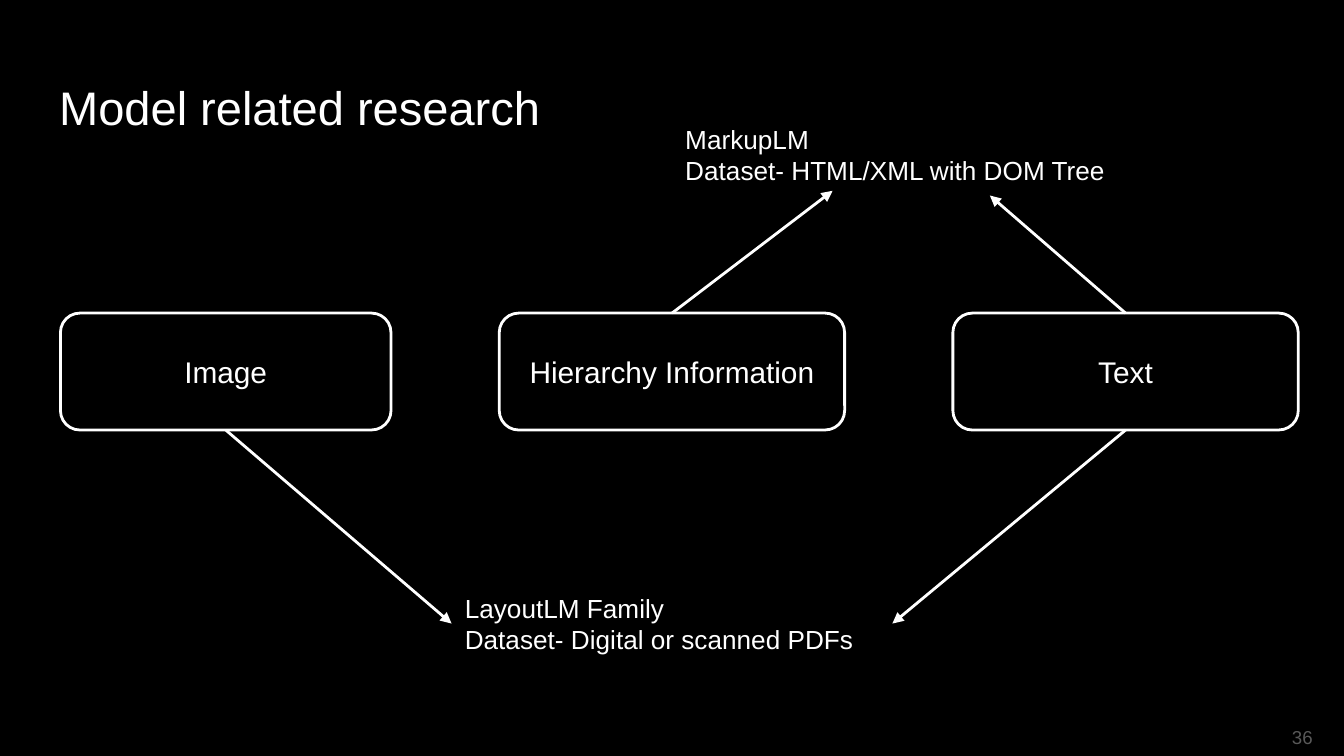
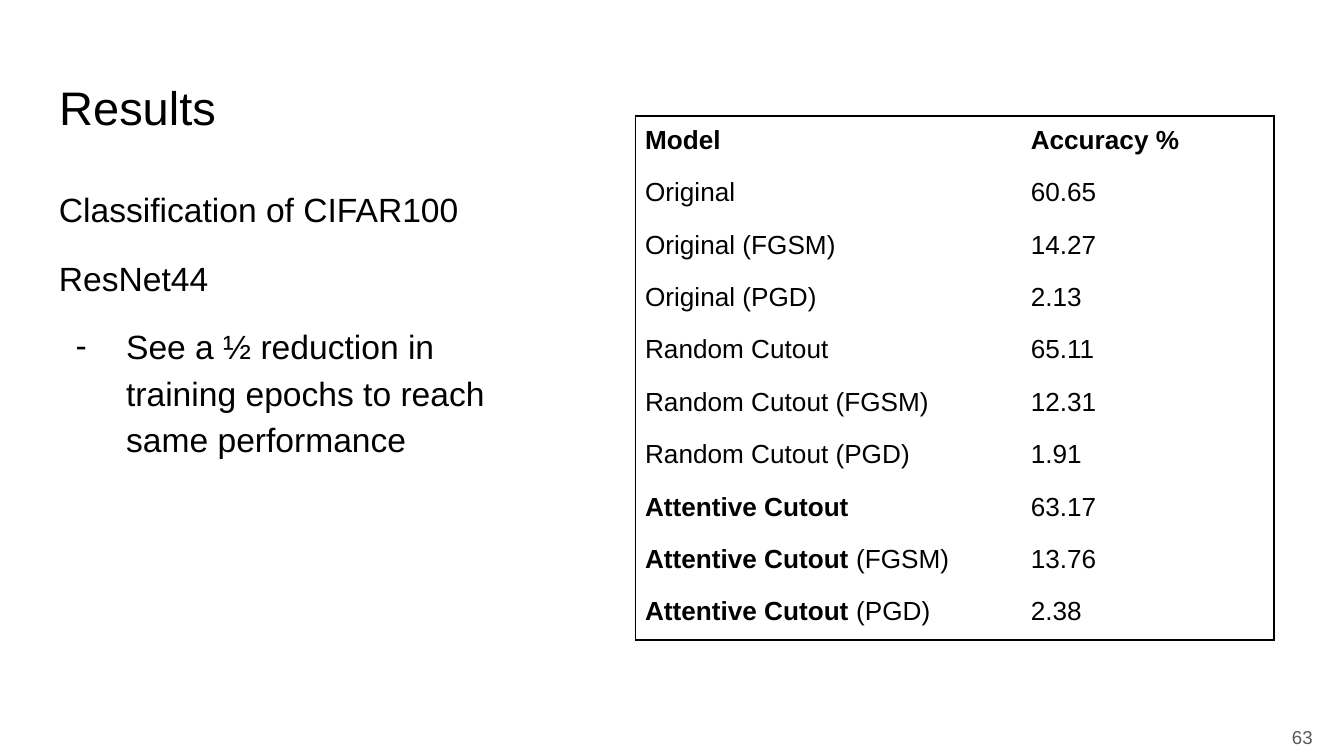
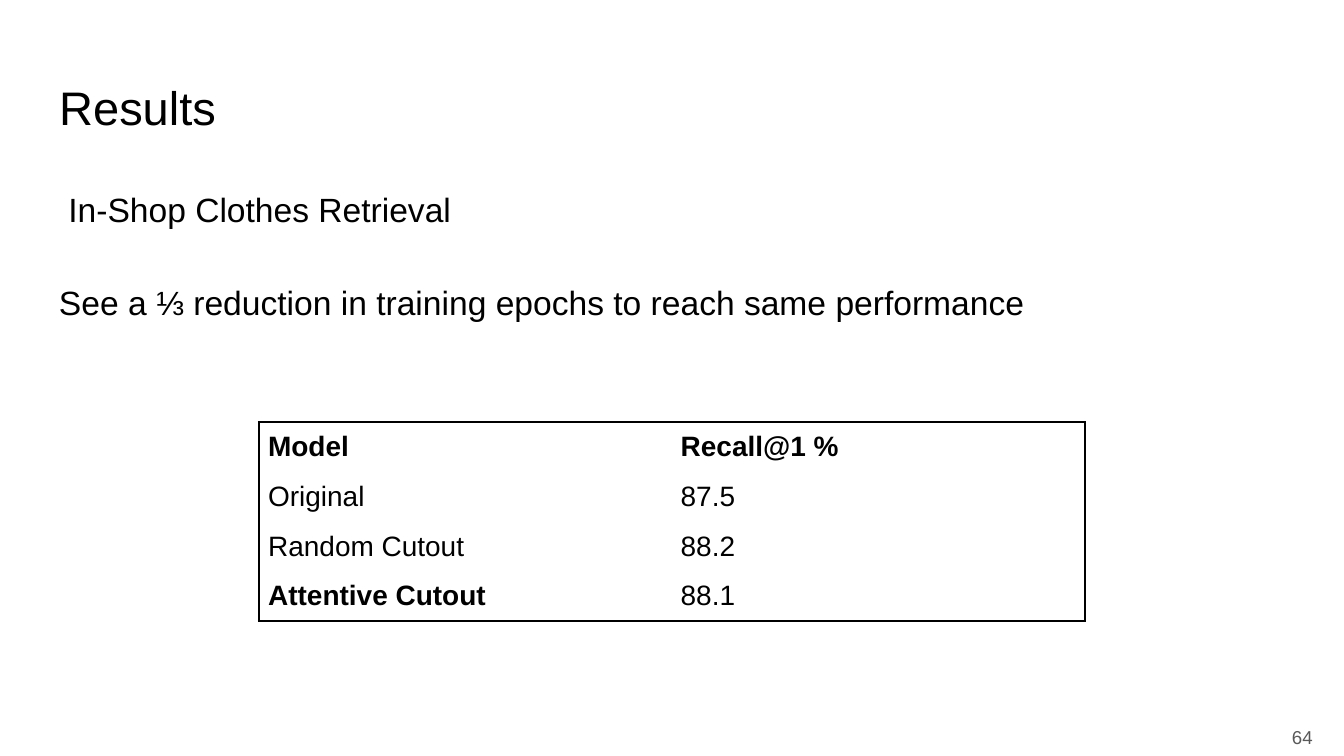
from dataclasses import dataclass
from typing import Any

import lxml.etree
import pptx
import pptx.dml.color
import pptx.enum.shapes
import pptx.enum.text
import pptx.oxml.ns
import pptx.util

SCALE = 4572
ALIGN = pptx.enum.text.PP_ALIGN
ANCHOR = pptx.enum.text.MSO_ANCHOR
SHAPE = pptx.enum.shapes.MSO_SHAPE
TOP, LEFT, BOTTOM, RIGHT = range(4)


@dataclass(frozen=True)
class Theme:
    font: str = "Arial"
    black: str = "000000"
    white: str = "FFFFFF"
    grey: str = "595959"
    title: float = 25.2
    body: float = 18
    box: float = 16
    note: float = 14
    page: float = 10
    line: float = 1.5
    edge: float = 1


THEME = Theme()


@dataclass(frozen=True)
class Rect:
    left: int
    top: int
    width: int
    height: int


@dataclass(frozen=True)
class Run:
    text: str
    bold: bool = False


@dataclass(frozen=True)
class Para:
    runs: tuple[Run, ...]
    before: float = 0
    margin: int = 0
    indent: int = 0
    bullet: str = ""


@dataclass(frozen=True)
class Row:
    name: str
    value: str
    tag: str = ""
    bold: bool = False
    head: bool = False


def px(size: int) -> pptx.util.Emu:
    return pptx.util.Emu(size * SCALE)


def span(rect: Rect) -> tuple[pptx.util.Emu, ...]:
    return px(rect.left), px(rect.top), px(rect.width), px(rect.height)


def tint(code: str) -> pptx.dml.color.RGBColor:
    return pptx.dml.color.RGBColor.from_string(code)


def add(node: Any, tag: str, **attrs: str) -> Any:
    return lxml.etree.SubElement(node, pptx.oxml.ns.qn(tag), attrs)


def plain(text: str, **form: Any) -> Para:
    return Para((Run(text),), **form)


def write(frame: Any, paras: list[Para], *, size: float, color: str,
          align: Any = ALIGN.LEFT, anchor: Any = ANCHOR.TOP,
          space: float = 1, right: int = 20) -> None:
    frame.word_wrap = True
    frame.vertical_anchor = anchor
    frame.margin_left = frame.margin_top = frame.margin_bottom = px(20)
    frame.margin_right = px(right)
    for count, item in enumerate(paras):
        para = frame.add_paragraph() if count else frame.paragraphs[0]
        props = para._p.get_or_add_pPr()
        props.set("marL", str(px(item.margin)))
        props.set("indent", str(px(item.indent)))
        if item.bullet:
            add(add(props, "a:buClr"), "a:srgbClr", val=color)
            add(props, "a:buSzPts", val=str(round(size * 100)))
            add(props, "a:buFont", typeface=THEME.font)
            add(props, "a:buChar", char=item.bullet)
        para.alignment = align
        para.line_spacing = space
        para.space_before = pptx.util.Pt(item.before)
        for part in item.runs:
            run = para.add_run()
            run.text = part.text
            run.font.name = THEME.font
            run.font.size = pptx.util.Pt(size)
            run.font.bold = part.bold
            run.font.color.rgb = tint(color)


def label(slide: Any, rect: Rect, paras: list[Para], **form: Any) -> Any:
    shape = slide.shapes.add_textbox(*span(rect))
    write(shape.text_frame, paras, **form)
    return shape


def start(deck: Any, title: str, page: str, ground: str, ink: str) -> Any:
    slide = deck.slides.add_slide(deck.slide_layouts[5])
    slide.background.fill.solid()
    slide.background.fill.fore_color.rgb = tint(ground)
    head = slide.shapes.title
    head.left, head.top, head.width, head.height = span(
        Rect(68, 97, 1864, 126))
    head.text_frame.auto_size = pptx.enum.text.MSO_AUTO_SIZE.NONE
    write(head.text_frame, [plain(title)], size=THEME.title, color=ink)
    label(slide, Rect(1853, 1054, 120, 86), [plain(page)], size=THEME.page,
          color=THEME.grey, align=ALIGN.RIGHT, anchor=ANCHOR.MIDDLE)
    return slide


def box(slide: Any, text: str, left: int, width: int) -> Any:
    shape = slide.shapes.add_shape(
        SHAPE.ROUNDED_RECTANGLE, *span(Rect(left, 466, width, 174)))
    shape.shadow.inherit = False
    shape.fill.background()
    shape.line.color.rgb = tint(THEME.white)
    shape.line.width = pptx.util.Pt(THEME.line)
    write(shape.text_frame, [plain(text)], size=THEME.box, color=THEME.white,
          align=ALIGN.CENTER, anchor=ANCHOR.MIDDLE)
    return shape


def note(slide: Any, rect: Rect, *lines: str) -> Any:
    shape = label(slide, rect, [plain(line) for line in lines],
                  size=THEME.note, color=THEME.white)
    shape.text_frame.auto_size = pptx.enum.text.MSO_AUTO_SIZE.SHAPE_TO_FIT_TEXT
    return shape


def arrow(slide: Any, source: Any, side: int, x: int = 0, y: int = 0,
          goal: Any = None, port: int = TOP) -> None:
    link = slide.shapes.add_connector(
        pptx.enum.shapes.MSO_CONNECTOR.STRAIGHT, 0, 0, px(x), px(y))
    link.begin_connect(source, side)
    if goal is not None:
        link.end_connect(goal, port)
    link.line.color.rgb = tint(THEME.white)
    link.line.width = pptx.util.Pt(THEME.line)
    add(link.line._get_or_add_ln(), "a:tailEnd", type="triangle")
    add(link._element.spPr, "a:effectLst")


def edge(cell: Any, sides: dict[str, bool]) -> None:
    props = cell._tc.get_or_add_tcPr()
    for side, shown in sides.items():
        line = add(props, f"a:ln{side}", w=str(pptx.util.Pt(THEME.edge)))
        if shown:
            add(add(line, "a:solidFill"), "a:srgbClr", val=THEME.black)
        else:
            add(line, "a:noFill")


def grid(slide: Any, left: int, top: int, widths: tuple[int, int],
         height: int, size: float, rows: list[Row]) -> None:
    rect = Rect(left, top, sum(widths), height * len(rows))
    table = slide.shapes.add_table(len(rows), len(widths), *span(rect)).table
    table.first_row = table.horz_banding = False
    for column, width in zip(table.columns, widths):
        column.width = px(width)
    for y, row in enumerate(rows):
        table.rows[y].height = px(height)
        name = [Run(row.name, row.bold or row.head)]
        if row.tag:
            name = [Run(f"{row.name} ", row.bold), Run(row.tag)]
        for x, runs in enumerate((name, [Run(row.value, row.head)])):
            cell = table.cell(y, x)
            edge(cell, {"L": x == 0, "R": x == len(widths) - 1,
                        "T": y == 0, "B": y == len(rows) - 1})
            cell.fill.background()
            write(cell.text_frame, [Para(tuple(runs))], size=size,
                  color=THEME.black)
            cell.margin_left = cell.margin_right = cell.margin_top = px(14)
            cell.margin_bottom = px(10)


def models(deck: Any) -> None:
    slide = start(deck, "Model related research", "36",
                  THEME.black, THEME.white)
    image = box(slide, "Image", 90, 492)
    tree = box(slide, "Hierarchy Information", 743, 514)
    text = box(slide, "Text", 1418, 514)
    layout = note(slide, Rect(672, 861, 656, 134), "LayoutLM Family",
                  "Dataset- Digital or scanned PDFs")
    arrow(slide, image, BOTTOM, goal=layout, port=LEFT)
    arrow(slide, text, BOTTOM, goal=layout, port=RIGHT)
    note(slide, Rect(1000, 163, 758, 134), "MarkupLM",
         "Dataset- HTML/XML with DOM Tree")
    arrow(slide, tree, TOP, 1239, 284)
    arrow(slide, text, TOP, 1473, 291)


def scores(deck: Any) -> None:
    slide = start(deck, "Results", "63", THEME.white, THEME.black)
    label(slide, Rect(68, 252, 790, 748), [
        plain("Classification of CIFAR100"),
        plain("ResNet44", before=12),
        plain("See a ½ reduction in training epochs to reach same performance",
              before=12, margin=100, indent=-75, bullet="-"),
    ], size=THEME.body, color=THEME.black, space=1.15, right=50)
    groups = [
        ("Original", False, ("60.65", "14.27", "2.13")),
        ("Random Cutout", False, ("65.11", "12.31", "1.91")),
        ("Attentive Cutout", True, ("63.17", "13.76", "2.38")),
    ]
    rows = [Row("Model", "Accuracy %", head=True)]
    for name, bold, values in groups:
        for tag, value in zip(("", "(FGSM)", "(PGD)"), values):
            rows.append(Row(name, value, tag, bold))
    grid(slide, 946, 173, (574, 376), 78, 14, rows)


def recall(deck: Any) -> None:
    slide = start(deck, "Results", "64", THEME.white, THEME.black)
    label(slide, Rect(68, 252, 1864, 748), [
        plain("In-Shop Clothes Retrieval", margin=14),
        plain("See a ⅓ reduction in training epochs to reach same performance",
              before=25),
    ], size=THEME.body, color=THEME.black, space=1.15)
    grid(slide, 385, 628, (614, 616), 66, 15, [
        Row("Model", "Recall@1 %", head=True),
        Row("Original", "87.5"),
        Row("Random Cutout", "88.2"),
        Row("Attentive Cutout", "88.1", bold=True),
    ])


def main() -> None:
    deck = pptx.Presentation()
    deck.slide_width, deck.slide_height = px(2000), px(1125)
    models(deck)
    scores(deck)
    recall(deck)
    deck.save("out.pptx")


if __name__ == "__main__":
    main()
